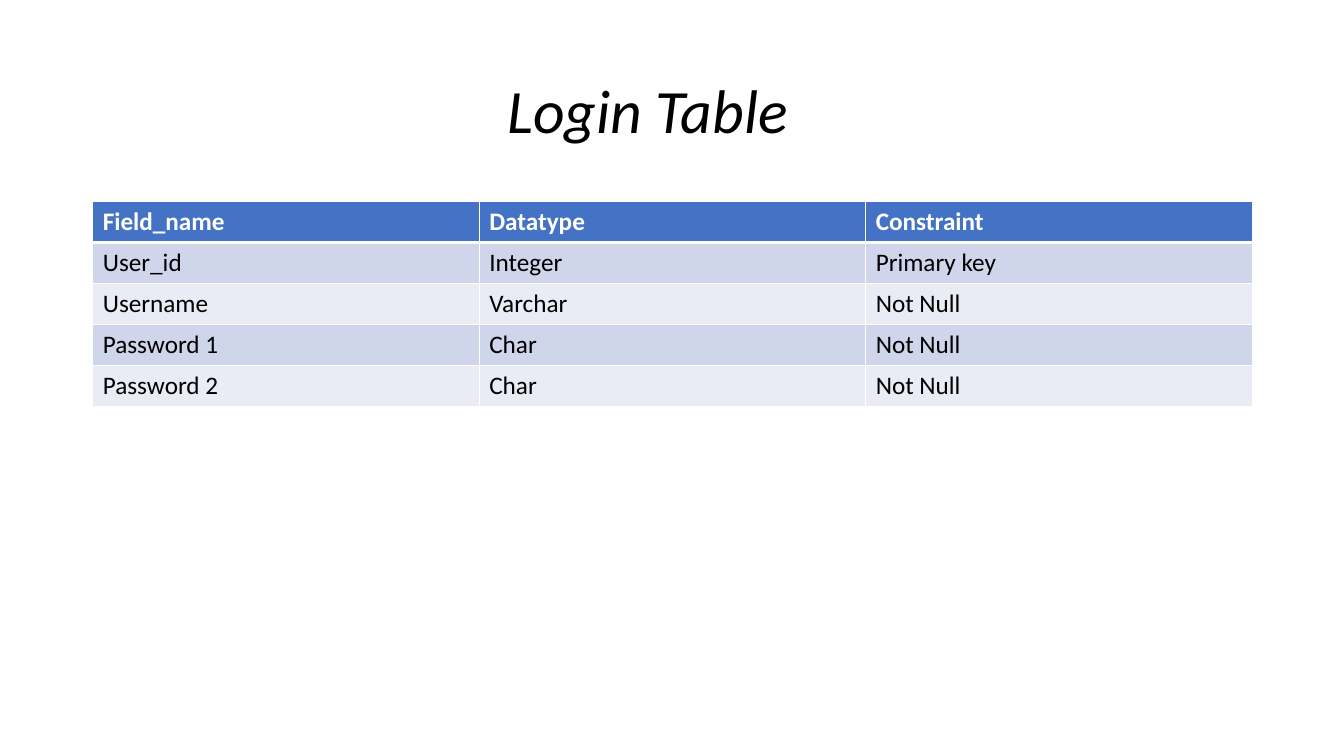
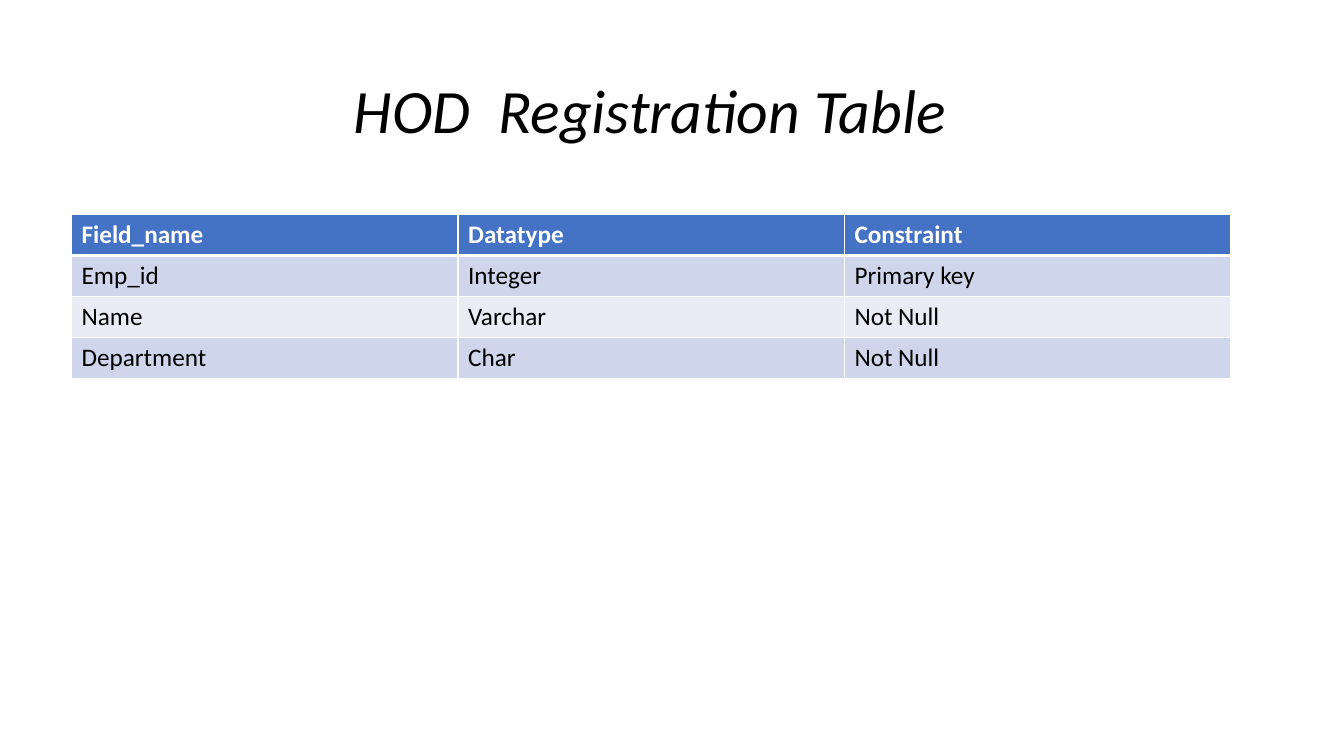
"""Build two slides that describe database tables."""
from pptx import Presentation, util as u
from pptx.dml.color import RGBColor
from pptx.enum import text
from pptx.oxml import parse_xml
from pptx.oxml.ns import nsdecls

FONT = "Calibri"
WHITE, BLACK, HEADER = "FFFFFF", "000000", "4472C4"
BANDS = ("CFD5EA", "E9EBF5")
TITLE_BOX = (0.92, 0.4, 11.5, 1.45)
TABLE_WIDTH = 11.5
FIELDS = ("Field_name", "Datatype", "Constraint")

SLIDES = [
    {
        "title": "Login Table",
        "title_indent": 4.11,
        "table_box": (0.92, 2, TABLE_WIDTH, 2.03),
        "rows": [
            ("User_id", "Integer", "Primary key"),
            ("Username", "Varchar", "Not Null"),
            ("Password 1", "Char", "Not Null"),
            ("Password 2", "Char", "Not Null"),
        ],
    },
    {
        "title": "HOD  Registration Table",
        "title_indent": 2.59,
        "table_box": (0.71, 2.13, TABLE_WIDTH, 1.62),
        "rows": [
            ("Emp_id", "Integer", "Primary key"),
            ("Name", "Varchar", "Not Null"),
            ("Department", "Char", "Not Null"),
        ],
    },
]


def rgb(value):
    return RGBColor.from_string(value)


def inches(box):
    return [u.Inches(v) for v in box]


def format_runs(p, size, color, bold=False, italic=False):
    for r in p.runs:
        r.font.name, r.font.size = FONT, u.Pt(size)
        r.font.bold, r.font.italic = bold, italic
        r.font.color.rgb = rgb(color)


def add_title(s, title, indent):
    sp = s.shapes.title
    sp.left, sp.top, sp.width, sp.height = inches(TITLE_BOX)
    tf = sp.text_frame
    tf.text = title
    tf.word_wrap = True
    tf.auto_size = text.MSO_AUTO_SIZE.NONE
    tf.vertical_anchor = text.MSO_ANCHOR.MIDDLE
    tf.margin_left = u.Inches(indent)
    p = tf.paragraphs[0]
    p.alignment = text.PP_ALIGN.LEFT
    p.line_spacing = 0.9
    format_runs(p, 44, BLACK, italic=True)


def set_borders(cell, row):
    widths = {"L": 1, "R": 1, "T": 3 if row == 1 else 1, "B": 3 if row == 0 else 1}
    tcPr = cell._tc.get_or_add_tcPr()
    for side, width in widths.items():
        tcPr.append(parse_xml(
            f'<a:ln{side} {nsdecls("a")} w="{u.Pt(width)}"><a:solidFill>'
            f'<a:srgbClr val="{WHITE}"/></a:solidFill></a:ln{side}>'))


def add_field_table(s, rows, box):
    rows = [FIELDS, *rows]
    table = s.shapes.add_table(len(rows), len(FIELDS), *inches(box)).table
    for i, row in enumerate(rows):
        is_header = i == 0
        for j, value in enumerate(row):
            cell = table.cell(i, j)
            cell.text = value
            set_borders(cell, i)
            cell.fill.solid()
            cell.fill.fore_color.rgb = rgb(HEADER if is_header else BANDS[(i - 1) % 2])
            format_runs(cell.text_frame.paragraphs[0], 18,
                        WHITE if is_header else BLACK, bold=is_header)


def main():
    prs = Presentation()
    prs.slide_width, prs.slide_height = inches((13.33, 7.5))
    for content in SLIDES:
        s = prs.slides.add_slide(prs.slide_layouts.get_by_name("Title Only"))
        add_title(s, content["title"], content["title_indent"])
        add_field_table(s, content["rows"], content["table_box"])
    prs.save("out.pptx")


if __name__ == "__main__":
    main()
